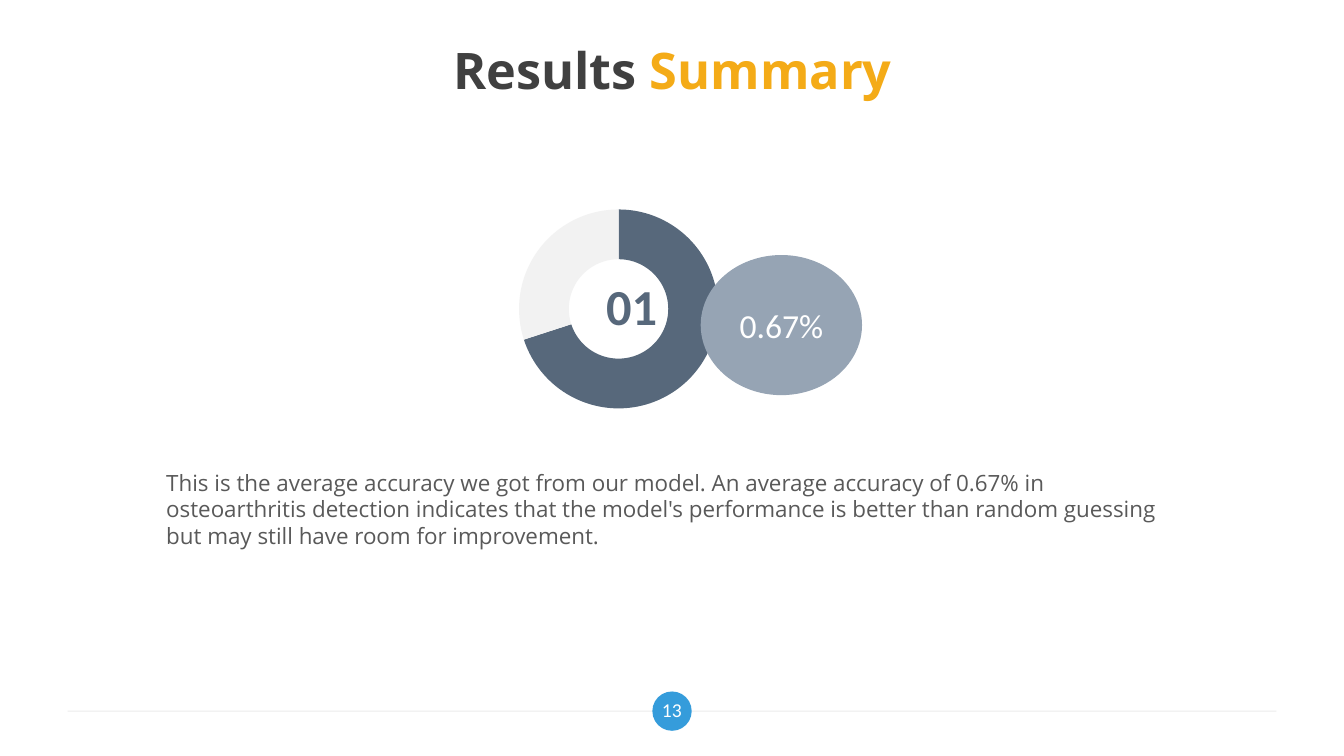
from pptx import Presentation
from pptx.chart.data import CategoryChartData
from pptx.dml.color import RGBColor
from pptx.enum.chart import XL_CHART_TYPE
from pptx.enum.shapes import MSO_CONNECTOR, MSO_SHAPE
from pptx.enum.text import MSO_ANCHOR, PP_ALIGN
from pptx.oxml.ns import qn
from pptx.util import Inches, Pt
from lxml import etree

DOUGHNUT = XL_CHART_TYPE.DOUGHNUT
STRAIGHT = MSO_CONNECTOR.STRAIGHT
OVAL = MSO_SHAPE.OVAL
MIDDLE, TOP = MSO_ANCHOR.MIDDLE, MSO_ANCHOR.TOP
CENTER, LEFT = PP_ALIGN.CENTER, PP_ALIGN.LEFT

SLATE, WHITE = "57687B", "FFFFFF"
BODY = ("This is the average accuracy we got from our model. An average "
        "accuracy of 0.67% in osteoarthritis detection indicates that the "
        "model's performance is better than random guessing but may still "
        "have room for improvement.")


def rgb(value):
    return RGBColor.from_string(value)


def write(sp, runs, size, font, align=CENTER, anchor=MIDDLE, bold=False,
          margins=(0.1, 0.05)):
    """Fill a shape with one paragraph of (text, colour) runs."""
    tf = sp.text_frame
    tf.word_wrap = True
    tf.vertical_anchor = anchor
    tf.margin_left = tf.margin_right = Inches(margins[0])
    tf.margin_top = tf.margin_bottom = Inches(margins[1])
    p = tf.paragraphs[0]
    p.alignment = align
    for text, color in runs:
        r = p.add_run()
        r.text = text
        r.font.name, r.font.size, r.font.bold = font, Pt(size), bold
        r.font.color.rgb = rgb(color)


def add_text(s, box, *args, **kwargs):
    sp = s.shapes.add_textbox(*map(Inches, box))
    write(sp, *args, **kwargs)


def add_oval(s, box, color):
    sp = s.shapes.add_shape(OVAL, *map(Inches, box))
    sp.shadow.inherit = False
    sp.fill.solid()
    sp.fill.fore_color.rgb = rgb(color)
    sp.line.fill.background()
    return sp


def add_title(s, left, top, width, height):
    sp = s.shapes.title
    sp.left, sp.top = Inches(left), Inches(top)
    sp.width, sp.height = Inches(width), Inches(height)
    write(sp, [("Results ", "404040"), ("Summary", "F4AB17")], 36,
          "Open Sans", bold=True, margins=(0.13, 0.07))


def add_footer(s, left, top, width, height):
    """Thin rule with the page number in a disc at its middle."""
    middle = top + height / 2
    line = s.shapes.add_connector(STRAIGHT, Inches(left), Inches(middle),
                                  Inches(left + width), Inches(middle))
    line.line.color.rgb = rgb("D9D9D9")
    line.line.width = Pt(0.75)
    # Half-transparent line without shadow
    color = next(line.line._get_or_add_ln().iter(qn("a:srgbClr")))
    etree.SubElement(color, qn("a:alpha")).set("val", "50000")
    etree.SubElement(line.element.spPr, qn("a:effectLst"))

    center = left + width / 2
    add_oval(s, (center - height / 2, top, height, height), "359CDB")
    add_text(s, (center - 0.28, middle - 0.22, 0.56, 0.42), [("13", WHITE)],
             14, "Calibri", margins=(0.13, 0.07))


def add_doughnut(s, left, top, width, height):
    data = CategoryChartData()
    data.categories = ["1", "2"]
    data.add_series("Series 1", (70, 30))
    chart = s.shapes.add_chart(DOUGHNUT, *map(Inches, (left, top, width, height)),
                               data).chart
    chart.has_legend = chart.has_title = False
    chart.font.name, chart.font.size = "Calibri", Pt(10)
    chart.font.color.rgb = rgb("000000")
    for i, color in enumerate((SLATE, "F2F2F2")):
        slice_format = chart.plots[0].series[0].points[i].format
        slice_format.fill.solid()
        slice_format.fill.fore_color.rgb = rgb(color)
        slice_format.line.fill.background()
    for hole in chart.element.iter(qn("c:holeSize")):
        hole.set("val", "75")


def add_result(s, left, top, width, height):
    """Doughnut, its explanation, the accuracy bubble and the number."""
    add_doughnut(s, left + 2.47, top, 4.23, 2.25)
    add_text(s, (left, top + height - 0.91, width, 0.91), [(BODY, "595959")],
             16, "Open Sans", align=LEFT, anchor=TOP)
    bubble = add_oval(s, (left + 5.4, top + 0.59, 1.6, 1.39), "96A4B4")
    write(bubble, [("0.67%", WHITE)], 24, "Calibri", margins=(0, 0.05))
    add_text(s, (left + 3.46, top + 0.73, 2.51, 0.71), [("01", SLATE)], 36,
             "Calibri", bold=True)


def main():
    prs = Presentation()
    prs.slide_width, prs.slide_height = Inches(13.33), Inches(7.5)
    s = prs.slides.add_slide(prs.slide_layouts[5])
    add_footer(s, 0.67, 6.86, 11.99, 0.39)
    add_title(s, 0.67, 0.3, 12, 0.78)
    add_result(s, 1.55, 1.94, 10.19, 3.57)
    prs.save("out.pptx")


if __name__ == "__main__":
    main()
